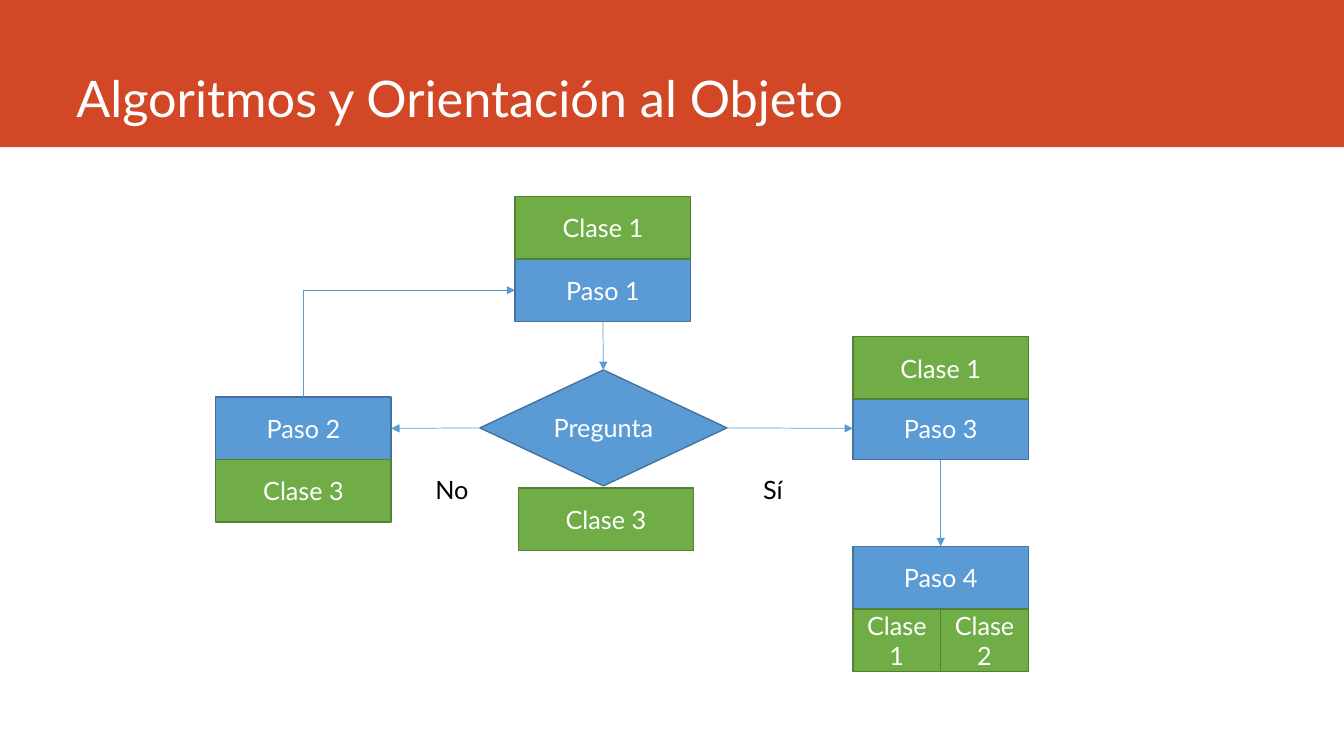
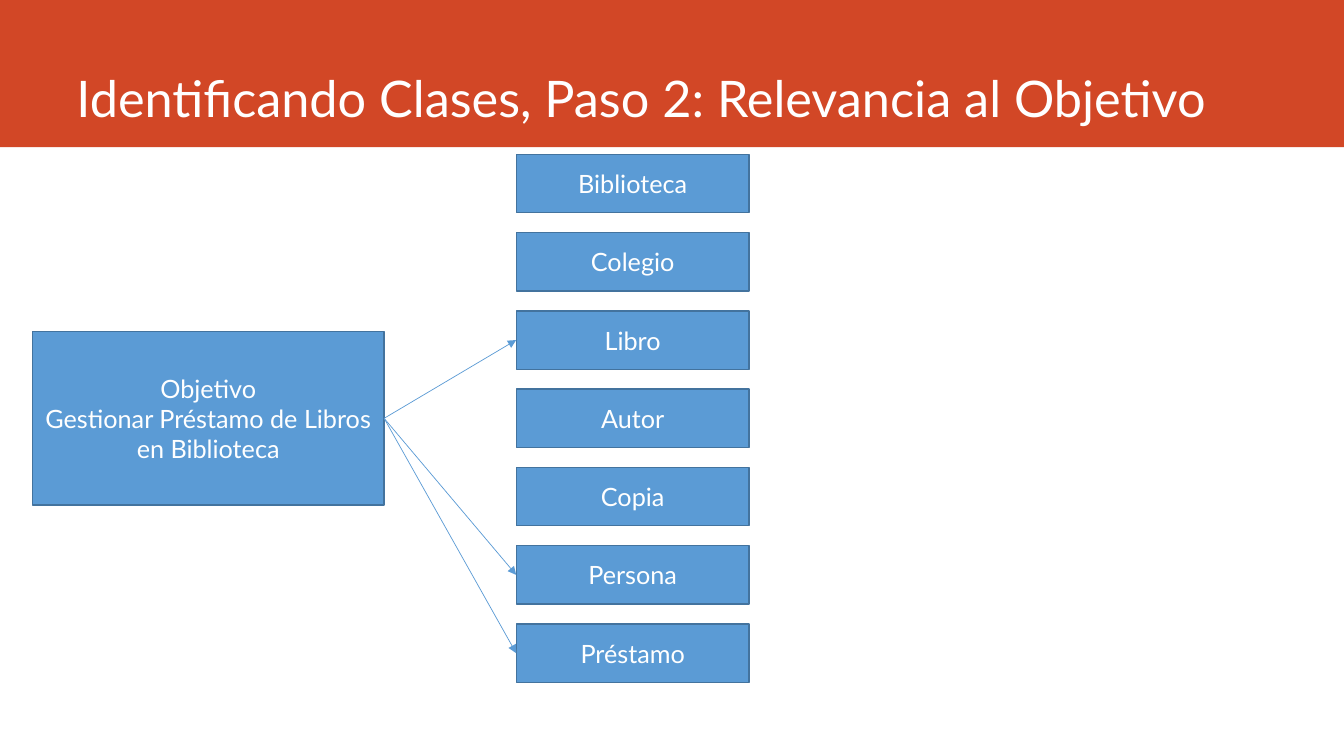
import pptx
import pptx.util
import pptx.dml.color
import pptx.enum.shapes
import pptx.enum.text
import pptx.oxml.ns
import lxml.etree

Inches, Pt = pptx.util.Inches, pptx.util.Pt
RGBColor = pptx.dml.color.RGBColor
Shape = pptx.enum.shapes.MSO_SHAPE
Connector = pptx.enum.shapes.MSO_CONNECTOR
Align, Anchor = pptx.enum.text.PP_ALIGN, pptx.enum.text.MSO_ANCHOR
AutoSize = pptx.enum.text.MSO_AUTO_SIZE
qn = pptx.oxml.ns.qn

WHITE = RGBColor(0xFF, 0xFF, 0xFF)
BLACK = RGBColor(0x00, 0x00, 0x00)
BAND_RED = RGBColor(0xD2, 0x47, 0x26)
BLUE = RGBColor(0x5B, 0x9B, 0xD5)
DARK_BLUE = RGBColor(0x43, 0x73, 0x9E)
GREEN = RGBColor(0x70, 0xAD, 0x47)
DARK_GREEN = RGBColor(0x53, 0x80, 0x35)

CENTERED = {"alignment": Align.CENTER}
MIDDLE = {"word_wrap": True, "vertical_anchor": Anchor.MIDDLE}
STEP = {"fill": BLUE, "line": DARK_BLUE, "color": WHITE, "size": 18,
        "frame": MIDDLE, "para": CENTERED}
CLASS = {**STEP, "fill": GREEN, "line": DARK_GREEN}
BAND = {**STEP, "fill": BAND_RED, "line": None}
TITLE = {"color": WHITE, "size": 36, "para": {"line_spacing": 0.9},
         "frame": {"word_wrap": True, "vertical_anchor": Anchor.BOTTOM}}
LABEL = {"color": BLACK, "size": 18, "para": {},
         "frame": {"word_wrap": False, "auto_size": AutoSize.SHAPE_TO_FIT_TEXT}}


def add_box(slide, place, text, style, preset=Shape.RECTANGLE):
    """Add a text box, or a preset shape when the style has a fill; place is in inches."""
    place = [Inches(length) for length in place]
    if "fill" in style:
        box = slide.shapes.add_shape(preset, *place)
        box.shadow.inherit = False
        box.fill.solid()
        box.fill.fore_color.rgb = style["fill"]
        if style["line"] is None:
            box.line.fill.background()
        else:
            box.line.color.rgb = style["line"]
            box.line.width = Pt(1)
    else:
        box = slide.shapes.add_textbox(*place)
    frame = box.text_frame
    frame.text = text
    for name, value in style["frame"].items():
        setattr(frame, name, value)
    for para in frame.paragraphs:
        for name, value in style["para"].items():
            setattr(para, name, value)
        for span in para.runs:
            span.font.name = "Lato"
            span.font.size = Pt(style["size"])
            span.font.color.rgb = style["color"]
    return box


def add_arrow(slide, start, start_side, end, end_side, kind=Connector.STRAIGHT):
    """Join two boxes; sides are 0 top, 1 left, 2 bottom, 3 right."""
    arrow = slide.shapes.add_connector(kind, 0, 0, 0, 0)
    arrow.begin_connect(start, start_side)
    arrow.end_connect(end, end_side)
    arrow.line.color.rgb = BLUE
    arrow.line.width = Pt(0.5)
    lxml.etree.SubElement(arrow.line._get_or_add_ln(), qn("a:tailEnd"), type="triangle")
    lxml.etree.SubElement(arrow._element.spPr, qn("a:effectLst"))
    return arrow


deck = pptx.Presentation()
deck.slide_width, deck.slide_height = Inches(13.33), Inches(7.5)
pages = []
for title in ("Algoritmos y Orientación al Objeto",
              "Identificando Clases, Paso 2: Relevancia al Objetivo"):
    page = deck.slides.add_slide(deck.slide_layouts[6])
    add_box(page, (0, 0, 13.33, 1.46), "", BAND)
    add_box(page, (0.66, 0, 11.76, 1.32), title, TITLE)
    pages.append(page)
flow_page, goal_page = pages

# Flowchart: steps in three columns, with their classes above or below
STEP_WIDTH, STEP_HEIGHT = 1.74, 0.62
LEFT, CENTER, RIGHT = 2.14, 5.11, 8.46
TOP_ROW, MIDDLE_ROW, BOTTOM_ROW = 2.57, 3.94, 5.42

steps = {}
for name, left, top in (("Paso 1", CENTER, TOP_ROW), ("Paso 2", LEFT, MIDDLE_ROW),
                        ("Paso 3", RIGHT, MIDDLE_ROW), ("Paso 4", RIGHT, BOTTOM_ROW)):
    steps[name] = add_box(flow_page, (left, top, STEP_WIDTH, STEP_HEIGHT), name, STEP)
question = add_box(flow_page, (4.76, 3.67, 2.45, 1.15), "Pregunta", STEP, Shape.DIAMOND)

add_arrow(flow_page, steps["Paso 1"], 2, question, 0)
add_arrow(flow_page, question, 1, steps["Paso 2"], 3)
add_arrow(flow_page, question, 3, steps["Paso 3"], 1)
add_arrow(flow_page, steps["Paso 3"], 2, steps["Paso 4"], 0)

# The way back goes up and then right: a single bend, turned a quarter
loop_back = add_arrow(flow_page, steps["Paso 2"], 0, steps["Paso 1"], 1, Connector.ELBOW)
rise, run = loop_back.height, loop_back.width
loop_back.left += (run - rise) // 2
loop_back.top += (rise - run) // 2
loop_back.width, loop_back.height = rise, run
properties = loop_back._element.spPr
properties.find(qn("a:prstGeom")).set("prst", "bentConnector2")
for name, value in {"rot": "5400000", "flipH": "1", "flipV": "1"}.items():
    properties.find(qn("a:xfrm")).set(name, value)

for text, left, width in (("No", 4.22, 0.54), ("Sí", 7.47, 0.4)):
    add_box(flow_page, (left, 4.66, width, 0.4), text, LABEL)

HALF = STEP_WIDTH / 2
for text, left, top, width in (
        ("Clase 1", CENTER, TOP_ROW - STEP_HEIGHT, STEP_WIDTH),
        ("Clase 1", RIGHT, 3.34, STEP_WIDTH),
        ("Clase 3", LEFT, MIDDLE_ROW + STEP_HEIGHT, STEP_WIDTH),
        ("Clase 3", 5.14, 4.84, STEP_WIDTH),
        ("Clase 1", RIGHT, BOTTOM_ROW + STEP_HEIGHT, HALF),
        ("Clase 2", RIGHT + HALF, BOTTOM_ROW + STEP_HEIGHT, HALF)):
    add_box(flow_page, (left, top, width, STEP_HEIGHT), text, CLASS)

# Candidate classes in one column, the relevant ones joined to the goal
goal = add_box(goal_page, (0.32, 3.29, 3.49, 1.72),
               "Objetivo\nGestionar Préstamo de Libros en Biblioteca", STEP)
candidates = ("Biblioteca", "Colegio", "Libro", "Autor", "Copia", "Persona", "Préstamo")
FIRST_TOP, LAST_TOP = 1.53, 6.19
pitch = (LAST_TOP - FIRST_TOP) / (len(candidates) - 1)
for row, name in enumerate(candidates):
    candidate = add_box(goal_page, (5.12, FIRST_TOP + row * pitch, 2.31, 0.58), name, STEP)
    if name in ("Libro", "Persona", "Préstamo"):
        add_arrow(goal_page, goal, 3, candidate, 1)

deck.save("out.pptx")
